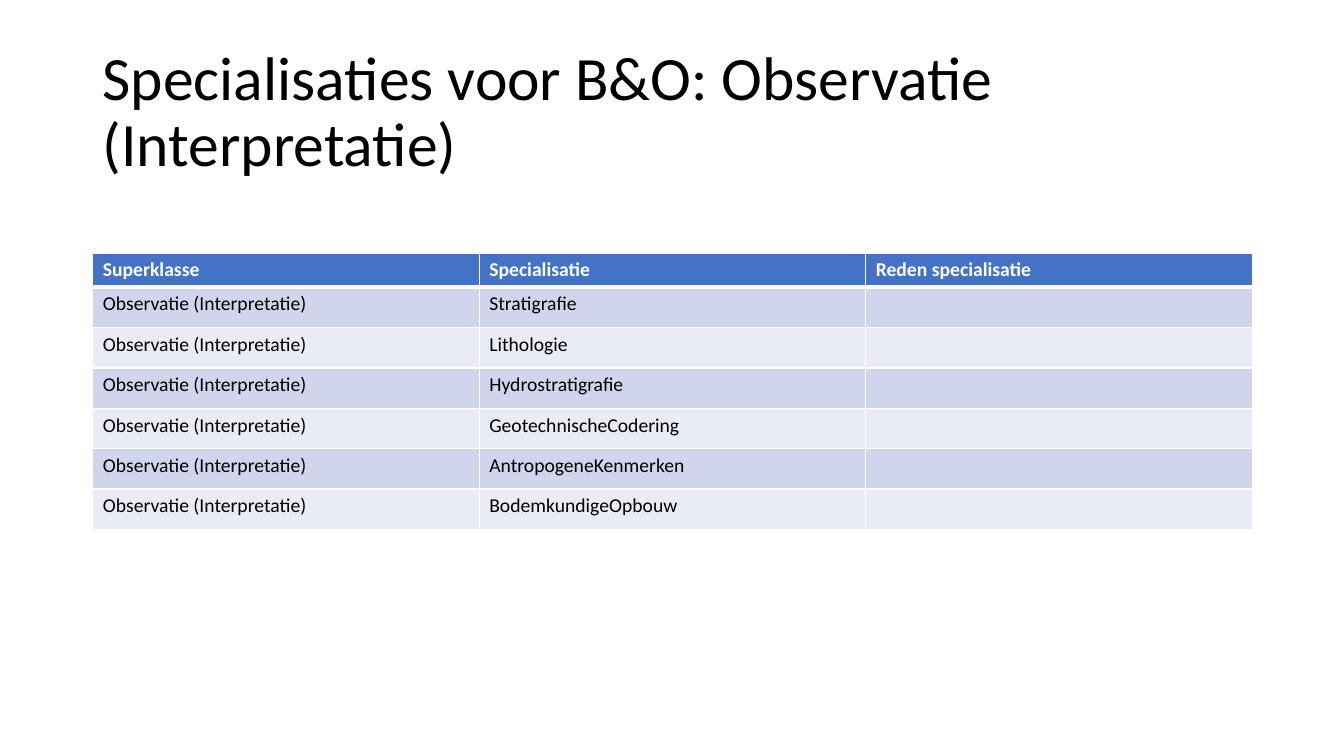
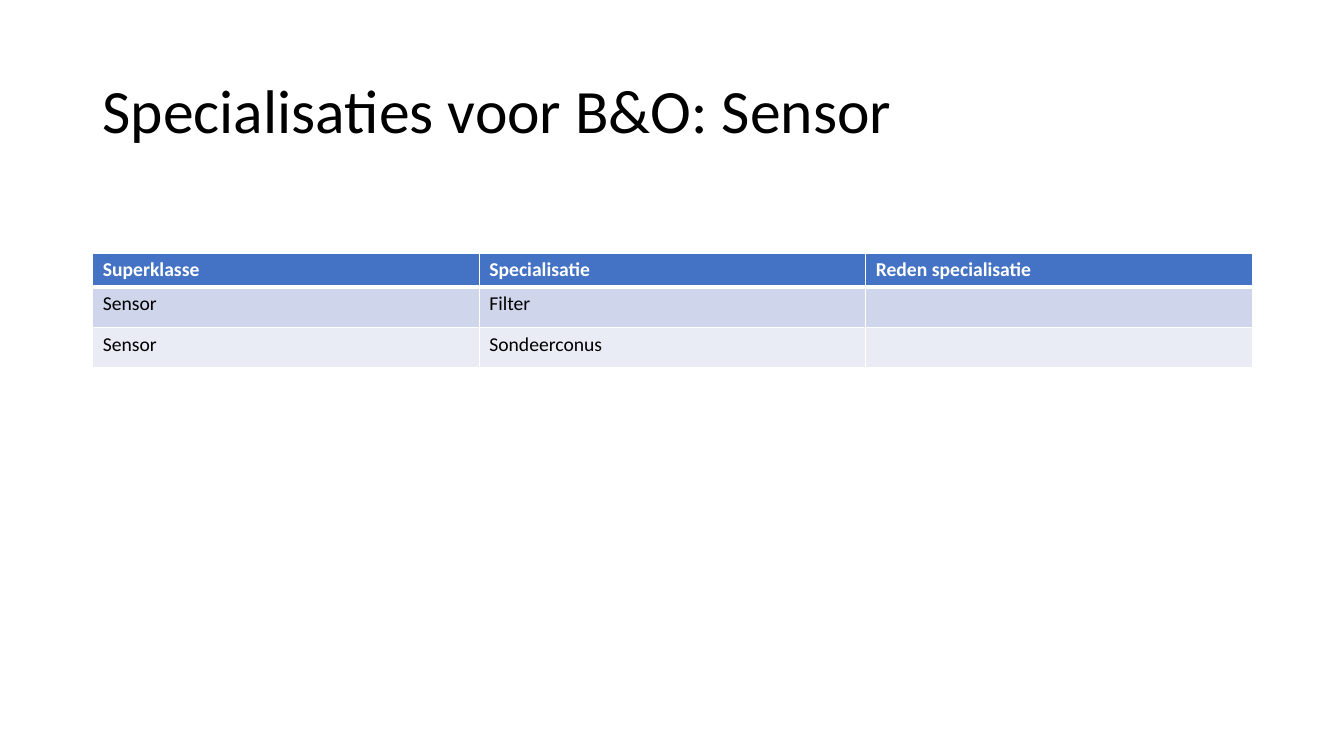
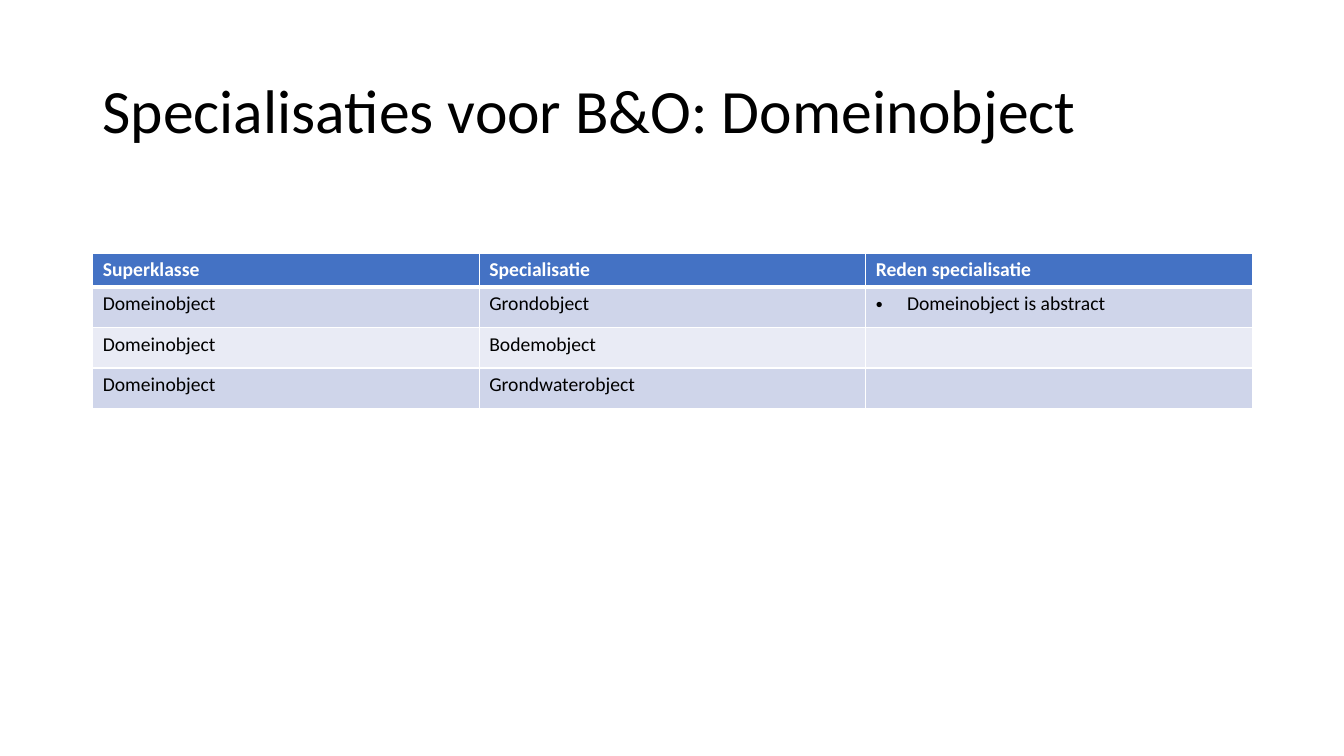
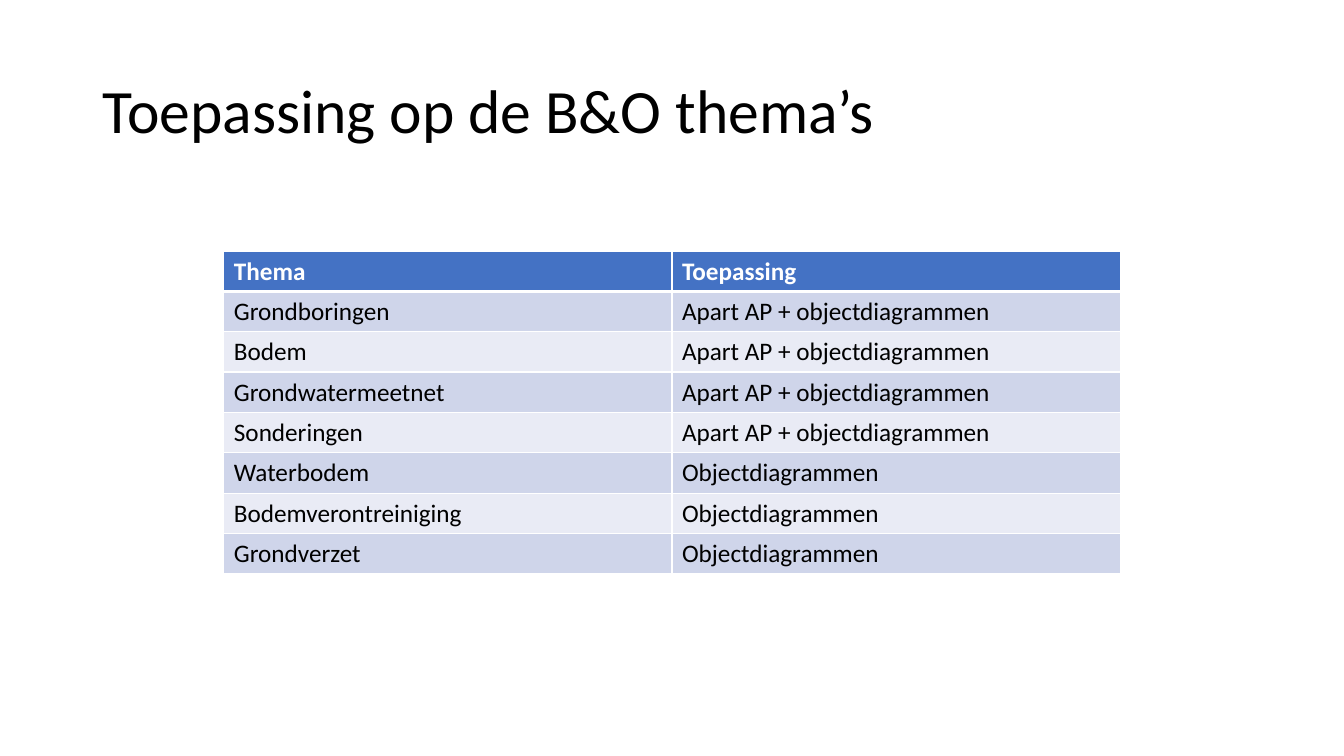
from lxml.etree import SubElement as Sub
from pptx import Presentation
from pptx.dml.color import RGBColor as RGB
from pptx.enum.text import MSO_ANCHOR as Anchor
from pptx.oxml.ns import qn
from pptx.util import Inches, Pt

WHITE = RGB(0xFF, 0xFF, 0xFF)
BLACK = RGB(0x00, 0x00, 0x00)
BLUE = RGB(0x44, 0x72, 0xC4)
BANDS = RGB(0xCF, 0xD5, 0xEA), RGB(0xE9, 0xEB, 0xF5)

HEADS = "Superklasse", "Specialisatie", "Reden specialisatie"
KINDS = {
    "Observatie (Interpretatie)": [
        "Stratigrafie", "Lithologie", "Hydrostratigrafie",
        "GeotechnischeCodering", "AntropogeneKenmerken", "BodemkundigeOpbouw",
    ],
    "Sensor": ["Filter", "Sondeerconus"],
    "Domeinobject": ["Grondobject", "Bodemobject", "Grondwaterobject"],
}
REASONS = {"Grondobject": "Domeinobject is abstract"}
APART = "Apart AP + objectdiagrammen"
PLAIN = "Objectdiagrammen"
THEMES = [
    ("Thema", "Toepassing"),
    ("Grondboringen", APART),
    ("Bodem", APART),
    ("Grondwatermeetnet", APART),
    ("Sonderingen", APART),
    ("Waterbodem", PLAIN),
    ("Bodemverontreiniging", PLAIN),
    ("Grondverzet", PLAIN),
]


class Deck:
    font = "Calibri"
    row = 0.4

    def __init__(self):
        self.prs = Presentation()
        self.prs.slide_width = Inches(13.33)
        self.prs.slide_height = Inches(7.5)
        self.slide = None

    def page(self, title):
        """Start a slide with its title."""
        self.slide = self.prs.slides.add_slide(self.prs.slide_layouts[6])
        box = self.slide.shapes.add_textbox(
            Inches(0.92), Inches(0.4), Inches(11.5), Inches(1.45))
        frame = box.text_frame
        frame.word_wrap = True
        frame.vertical_anchor = Anchor.MIDDLE
        para = frame.paragraphs[0]
        para.line_spacing = 0.9
        self.label(para, title, BLACK, size=Pt(44))

    def label(self, para, text, color, **form):
        run = para.add_run()
        run.text = text
        for key, val in {"name": self.font, **form}.items():
            setattr(run.font, key, val)
        run.font.color.rgb = color

    def table(self, rows, left, top, width, size, head):
        """Draw a banded table whose first row, head inches high, is the header."""
        count = len(rows[0])
        high = head + self.row * (len(rows) - 1)
        grid = self.slide.shapes.add_table(
            len(rows), count, Inches(left), Inches(top),
            Inches(width), Inches(high)).table
        for col in grid.columns:
            col.width = Inches(width / count)
        for i, row in enumerate(rows):
            grid.rows[i].height = Inches(self.row if i else head)
            for j, text in enumerate(row):
                cell = grid.cell(i, j)
                self.edge(cell, 3 if i == 1 else 1, 1 if i else 3)
                cell.fill.solid()
                cell.fill.fore_color.rgb = BANDS[(i - 1) % 2] if i else BLUE
                if text:
                    self.label(cell.text_frame.paragraphs[0], text,
                               BLACK if i else WHITE, size=Pt(size), bold=not i)
        return grid

    def edge(self, cell, top, bottom):
        """Give a cell white borders; top and bottom are widths in points."""
        props = cell._tc.get_or_add_tcPr()
        for tag, wide in {"lnL": 1, "lnR": 1, "lnT": top, "lnB": bottom}.items():
            line = Sub(props, qn("a:" + tag), w=str(Pt(wide)))
            fill = Sub(line, qn("a:solidFill"))
            Sub(fill, qn("a:srgbClr"), val=str(WHITE))

    def bullet(self, cell):
        dent = Inches(0.31)
        props = cell.text_frame.paragraphs[0]._p.get_or_add_pPr()
        props.set("marL", str(dent))
        props.set("indent", str(-dent))
        Sub(props, qn("a:buFont"), typeface="Arial")
        Sub(props, qn("a:buChar"), char="•")


def main():
    deck = Deck()
    for kind, names in KINDS.items():
        deck.page(f"Specialisaties voor B&O: {kind}")
        rows = [HEADS] + [(kind, name, REASONS.get(name, "")) for name in names]
        grid = deck.table(rows, 0.92, 2.51, 11.5, 14, 0.34)
        for i, name in enumerate(names, 1):
            if name in REASONS:
                deck.bullet(grid.cell(i, 2))
    deck.page("Toepassing op de B&O thema’s")
    deck.table(THEMES, 2.22, 2.49, 8.89, 18, 0.4)
    deck.prs.save("out.pptx")


if __name__ == "__main__":
    main()
